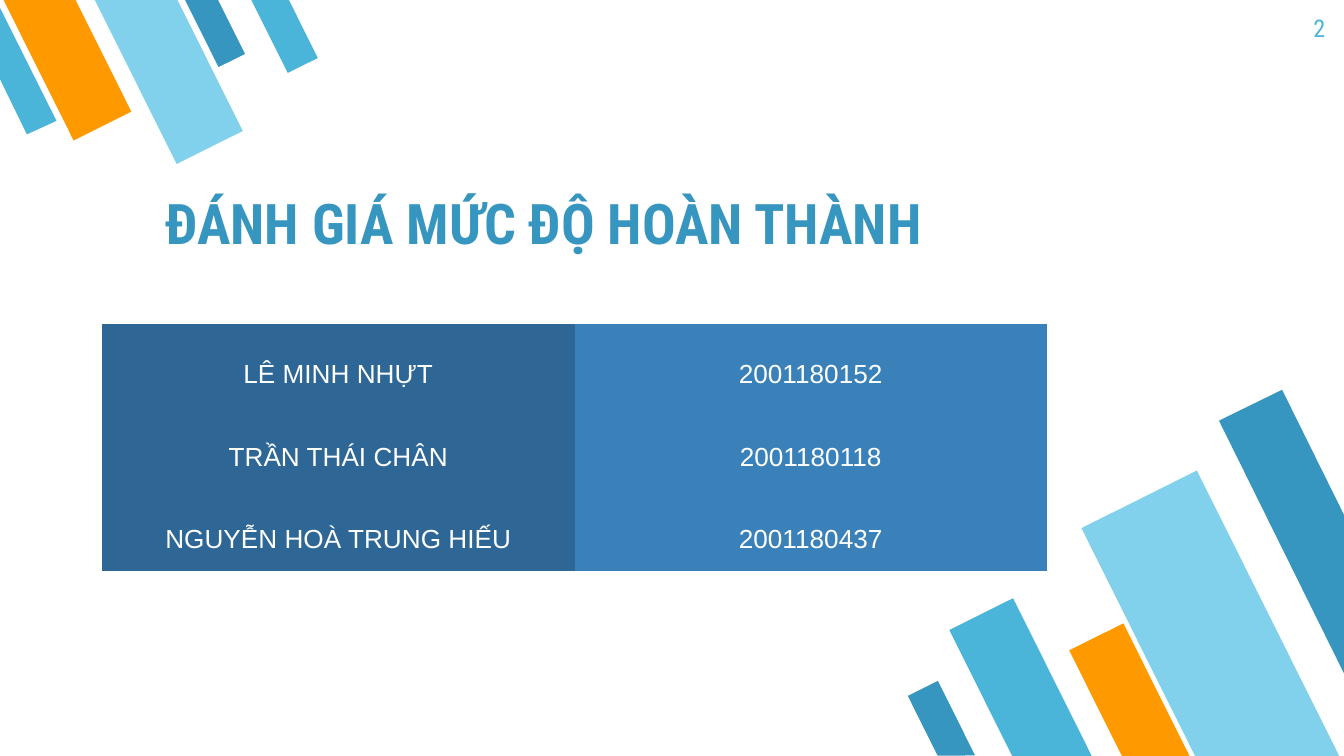
import pptx
import pptx.util
import pptx.dml.color
import pptx.enum.shapes
import pptx.enum.text

Inches = pptx.util.Inches
Align = pptx.enum.text.PP_ALIGN
Anchor = pptx.enum.text.MSO_ANCHOR

# Content
TITLE = "ĐÁNH GIÁ MỨC ĐỘ HOÀN THÀNH"
PAGE_NUMBER = "2"
STUDENTS = [
    ("LÊ MINH NHỰT", "2001180152"),
    ("TRẦN THÁI CHÂN", "2001180118"),
    ("NGUYỄN HOÀ TRUNG HIẾU", "2001180437"),
]

# Style
PAGE_WIDTH = 10
PAGE_HEIGHT = PAGE_WIDTH * 9 / 16
HEADING_FONT, BODY_FONT = "Roboto Condensed", "Arial"
BLUE, CYAN, SKY, ORANGE, WHITE = "3796BF", "4BB5D9", "81D1EC", "FF9900", "FFFFFF"
COLUMN_FILLS = ("2E6795", "3A81BA")

# Slanted bars by corner: rotation, bars (left, top, width, height, colour),
# and the bar cut off by the slide edge (points, colour)
BAR_GROUPS = [
    (153.5,
     [(7.33, 4.5, 0.53, 1.32, CYAN), (8.53, 3.59, 0.96, 2.39, SKY),
      (8.18, 4.68, 0.45, 1.11, ORANGE), (6.88, 5.09, 0.25, 0.62, BLUE)],
     [(9.54, 2.9), (9.07, 3.13), (10, 5.01), (10, 3.83)], BLUE),
    (333.5,
     [(1.49, -0.08, 0.22, 0.56, BLUE), (0.26, -0.18, 0.48, 1.18, ORANGE),
      (0.98, -0.2, 0.55, 1.37, SKY), (1.99, -0.1, 0.25, 0.62, CYAN)],
     [(0.2, 1), (0.42, 0.9), (0, 0.06), (0, 0.59)], CYAN),
]


def colour(value):
    return pptx.dml.color.RGBColor.from_string(value)


def paint(item, value):
    item.fill.solid()
    item.fill.fore_color.rgb = colour(value)


def finish_bar(bar, value):
    paint(bar, value)
    bar.line.fill.background()
    bar.shadow.inherit = False


def write(frame, text, font, size, value, align, bold=False):
    para = frame.paragraphs[0]
    para.alignment = align
    span = para.add_run()
    span.text = text
    span.font.name = font
    span.font.size = pptx.util.Pt(size)
    span.font.bold = bold
    span.font.color.rgb = colour(value)
    return para


def set_frame(frame, anchor):
    frame.word_wrap = True
    frame.auto_size = pptx.enum.text.MSO_AUTO_SIZE.NONE
    frame.vertical_anchor = anchor
    frame.margin_left = frame.margin_right = Inches(0.1)
    frame.margin_top = frame.margin_bottom = Inches(0.1)


deck = pptx.Presentation()
deck.slide_width, deck.slide_height = Inches(PAGE_WIDTH), Inches(PAGE_HEIGHT)
page = deck.slides.add_slide(deck.slide_layouts[5])
paint(page.background, WHITE)

# Corner bars
for rotation, bars, points, cut_colour in BAR_GROUPS:
    for *place, value in bars:
        bar = page.shapes.add_shape(
            pptx.enum.shapes.MSO_SHAPE.FLOWCHART_MANUAL_INPUT, *map(Inches, place))
        bar.rotation = rotation
        bar._element.spPr.xfrm.set("flipH", "1")
        finish_bar(bar, value)
    corners = [(Inches(x), Inches(y)) for x, y in points]
    outline = page.shapes.build_freeform(*corners[0])
    outline.add_line_segments(corners[1:], close=True)
    finish_bar(outline.convert_to_shape(), cut_colour)

# Title
title = page.shapes.title
title.left, title.top, title.width, title.height = map(Inches, (1.13, 1.26, 6.3, 0.74))
set_frame(title.text_frame, Anchor.BOTTOM)
write(title.text_frame, TITLE, HEADING_FONT, 30, BLUE, Align.LEFT, bold=True)

# Page number
number = page.shapes.add_textbox(*map(Inches, (9.36, 0, 0.6, 0.43)))
set_frame(number.text_frame, Anchor.TOP)
write(number.text_frame, PAGE_NUMBER, HEADING_FONT, 13, CYAN, Align.RIGHT)

# Student table
table = page.shapes.add_table(
    len(STUDENTS), len(COLUMN_FILLS), *map(Inches, (0.76, 2.41, 7.03, 1.84))).table
table.first_row = table.horz_banding = False
# A plain, borderless table style
table._tbl.tblPr[0].text = "{2D5ABB26-0587-4C30-8999-92F81FD0307C}"
for row, student in enumerate(STUDENTS):
    for column, text in enumerate(student):
        cell = table.cell(row, column)
        paint(cell, COLUMN_FILLS[column])
        para = write(cell.text_frame, text, BODY_FONT, 14, WHITE, Align.CENTER)
        para.line_spacing = 2.0

deck.save("out.pptx")
